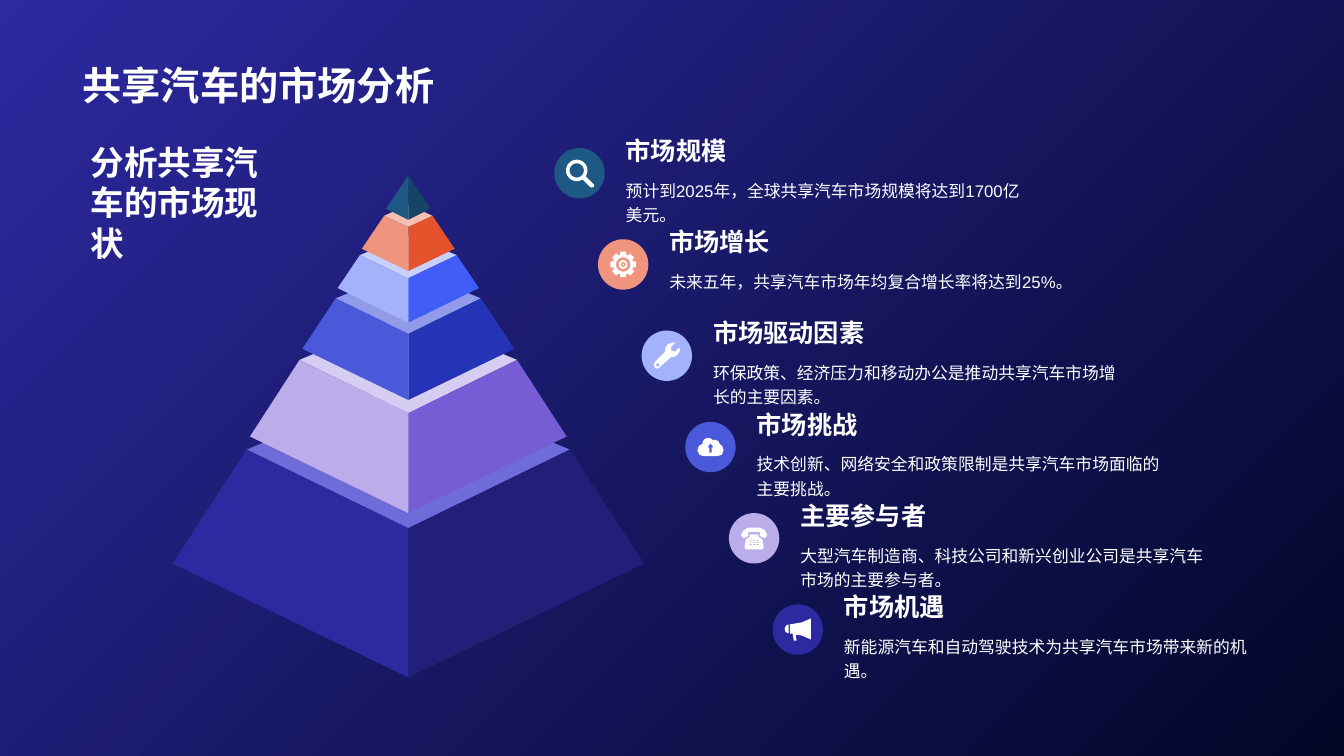
from math import cos, radians, sin

from pptx import Presentation
from pptx.dml.color import RGBColor
from pptx.enum.shapes import MSO_SHAPE as Preset
from pptx.enum.text import MSO_ANCHOR as Anchor, MSO_AUTO_SIZE as AutoSize, PP_ALIGN as Align
from pptx.util import Cm, Pt

FONT = "Arial"
WHITE = RGBColor(0xFF, 0xFF, 0xFF)
INDIGO = RGBColor(0x2D, 0x29, 0xA1)
INDIGO_DARK = RGBColor(0x22, 0x1F, 0x79)
INDIGO_LIGHT = RGBColor(0x6F, 0x6C, 0xD9)
NIGHT = RGBColor(0x02, 0x07, 0x28)
LILAC = RGBColor(0xBA, 0xAD, 0xEA)
LILAC_DARK = RGBColor(0x76, 0x5C, 0xD5)
LILAC_LIGHT = RGBColor(0xD6, 0xCE, 0xF2)
BLUE = RGBColor(0x4A, 0x58, 0xDA)
BLUE_DARK = RGBColor(0x25, 0x33, 0xB6)
BLUE_LIGHT = RGBColor(0x92, 0x9B, 0xE9)
SKY = RGBColor(0xA4, 0xB1, 0xFB)
SKY_DARK = RGBColor(0x41, 0x5C, 0xF7)
SKY_LIGHT = RGBColor(0xC8, 0xD0, 0xFD)
CORAL = RGBColor(0xEF, 0x95, 0x7D)
CORAL_DARK = RGBColor(0xE5, 0x53, 0x2C)
CORAL_LIGHT = RGBColor(0xF5, 0xBF, 0xB1)
TEAL = RGBColor(0x1E, 0x59, 0x86)
TEAL_DARK = RGBColor(0x17, 0x43, 0x65)

# Pyramid levels, bottom first, in cm: half widths of cap and base, then the heights
# of back corner, shoulder, front corner, base and bottom; then left, right, cap colours
AXIS = 10.29
LEVELS = [
    (4.07, 5.94, 9.63, 11.33, 13.31, 14.2, 17.07, INDIGO, INDIGO_DARK, INDIGO_LIGHT),
    (2.74, 3.99, 7.92, 9.07, 10.41, 11.0, 12.93, LILAC, LILAC_DARK, LILAC_LIGHT),
    (1.83, 2.67, 6.76, 7.52, 8.41, 8.79, 10.08, BLUE, BLUE_DARK, BLUE_LIGHT),
    (1.22, 1.78, 5.92, 6.43, 7.01, 7.26, 8.13, SKY, SKY_DARK, SKY_LIGHT),
    (0.61, 1.17, 5.16, 5.44, 5.72, 6.27, 6.83, CORAL, CORAL_DARK, CORAL_LIGHT),
    (0, 0.56, 4.42, 4.42, 4.42, 5.26, 5.54, TEAL, TEAL_DARK, None),
]

# Staircase of topics
STEP_X, STEP_Y = 1.1, 2.3
BADGE = 1.27


def circle(x, y, radius):
    return [(x + radius * cos(radians(a)), y + radius * sin(radians(a))) for a in range(0, 360, 10)]


def mirrored(half):
    return half + [(-x, y) for x, y in reversed(half)]


def gear_rim():
    teeth = ((-13, 0.33), (13, 0.33), (17, 0.26), (28, 0.26))
    return [(r * cos(radians(45 * tooth + a)), r * sin(radians(45 * tooth + a)))
            for tooth in range(8) for a, r in teeth]


def phone_keys():
    return [[(x - 0.03, y - 0.01), (x + 0.03, y - 0.01), (x + 0.03, y + 0.01), (x - 0.03, y + 0.01)]
            for y in (0.06, 0.11, 0.16) for x in (-0.09, 0, 0.09)]


# Icon contours in cm around the badge centre; inner contours cut holes
SEARCH = [circle(-0.07, -0.07, 0.27), circle(-0.07, -0.07, 0.18),
          [(0.08, 0.16), (0.16, 0.08), (0.36, 0.28), (0.37, 0.33), (0.33, 0.36), (0.28, 0.36)]]
GEAR = [gear_rim()] + [circle(0, 0, r) for r in (0.18, 0.11, 0.06, 0.02)]
WRENCH = [[(0.32, -0.2), (0.29, -0.2), (0.22, -0.1), (0.11, -0.13), (0.11, -0.23), (0.22, -0.33),
           (0.12, -0.33), (0.02, -0.28), (-0.04, -0.2), (-0.04, -0.1), (-0.29, 0.15),
           (-0.33, 0.22), (-0.3, 0.3), (-0.23, 0.33), (-0.17, 0.28), (0.11, 0.03), (0.2, 0.02),
           (0.27, -0.03), (0.33, -0.12)],
          circle(-0.23, 0.23, 0.04)]
CLOUD = [[(0.23, -0.08), (0.2, -0.15), (0.12, -0.18), (0.05, -0.18), (0, -0.22), (-0.06, -0.23),
          (-0.15, -0.2), (-0.2, -0.13), (-0.2, -0.08), (-0.29, -0.03), (-0.33, 0.08),
          (-0.28, 0.19), (-0.18, 0.23), (0.18, 0.23), (0.29, 0.19), (0.33, 0.08), (0.3, -0.02)],
         mirrored([(0, -0.09), (0.08, 0.01), (0.03, 0.01), (0.03, 0.14)])]
PHONE = [mirrored([(0.11, -0.1), (0.11, -0.04), (0.21, 0.03), (0.24, 0.22), (0.21, 0.28)]),
         mirrored([(0.15, -0.27), (0.27, -0.2), (0.33, -0.08), (0.27, 0), (0.14, -0.06),
                   (0.16, -0.14), (0.1, -0.16)])] + phone_keys()
MEGAPHONE = [[(-0.23, -0.13), (-0.23, 0.1), (-0.31, 0.06), (-0.33, -0.02), (-0.3, -0.1)],
             [(0.33, -0.28), (0.33, 0.25), (0.1, 0.15), (-0.05, 0.13), (-0.03, 0.28),
              (-0.1, 0.28), (-0.13, 0.1), (-0.2, 0.1), (-0.2, -0.13), (0.1, -0.18)]]

TOPICS = [
    ("市场规模", "预计到2025年，全球共享汽车市场规模将达到1700亿美元。", TEAL, SEARCH),
    ("市场增长", "未来五年，共享汽车市场年均复合增长率将达到25%。", CORAL, GEAR),
    ("市场驱动因素", "环保政策、经济压力和移动办公是推动共享汽车市场增长的主要因素。", SKY, WRENCH),
    ("市场挑战", "技术创新、网络安全和政策限制是共享汽车市场面临的主要挑战。", BLUE, CLOUD),
    ("主要参与者", "大型汽车制造商、科技公司和新兴创业公司是共享汽车市场的主要参与者。", LILAC, PHONE),
    ("市场机遇", "新能源汽车和自动驾驶技术为共享汽车市场带来新的机遇。", INDIGO, MEGAPHONE),
]


def paint(shape, color):
    shape.shadow.inherit = False
    shape.fill.solid()
    shape.fill.fore_color.rgb = color
    shape.line.fill.background()


def add_outline(page, contours, color, left=0, top=0):
    """Draw closed contours, given in cm from the point (left, top)."""
    contours = [[(x * 1000, y * 1000) for x, y in contour] for contour in contours]
    builder = page.shapes.build_freeform(*contours[0][0], scale=Cm(0.001))
    for number, contour in enumerate(contours):
        if number:
            builder.move_to(*contour[0])
        builder.add_line_segments(contour[1:], close=True)
    paint(builder.convert_to_shape(Cm(left), Cm(top)), color)


def write(box, text, size, bold=False, anchor=Anchor.TOP, spacing=None):
    frame = box.text_frame
    frame.text = text
    frame.word_wrap = True
    frame.auto_size = AutoSize.NONE
    frame.vertical_anchor = anchor
    para = frame.paragraphs[0]
    para.alignment = Align.LEFT
    if spacing:
        para.line_spacing = spacing
    span = para.runs[0]
    span.font.name = FONT
    span.font.size = Pt(size)
    span.font.bold = bold
    span.font.color.rgb = WHITE


def add_text(page, left, top, width, height, text, size, **style):
    box = page.shapes.add_textbox(Cm(left), Cm(top), Cm(width), Cm(height))
    write(box, text, size, **style)


def set_background(page):
    fill = page.background.fill
    fill.gradient()
    fill.gradient_angle = 315
    for stop, color, position in zip(fill.gradient_stops, (INDIGO, NIGHT), (0, 1)):
        stop.color.rgb = color
        stop.position = position


def set_title(page, text):
    title = page.shapes.title
    title.left, title.top, title.width, title.height = Cm(1.83), Cm(0.36), Cm(30.18), Cm(2.49)
    write(title, text, 28, bold=True, anchor=Anchor.BOTTOM)


def add_level(page, cap, base, back, shoulder, front, foot, bottom, left, right, top):
    if top:
        add_outline(page, [[(AXIS - cap, shoulder), (AXIS, back),
                            (AXIS + cap, shoulder), (AXIS, front)]], top)
    for side, color in ((1, right), (-1, left)):
        add_outline(page, [[(AXIS, bottom), (AXIS + side * base, foot),
                            (AXIS + side * cap, shoulder), (AXIS, front)]], color)


def add_topic(page, number, heading, detail, color, icon):
    left, top = 13.97 + number * STEP_X, 3.73 + number * STEP_Y
    badge = page.shapes.add_shape(Preset.OVAL, Cm(left), Cm(top), Cm(BADGE), Cm(BADGE))
    paint(badge, color)
    add_outline(page, icon, WHITE, left + BADGE / 2, top + BADGE / 2)
    add_text(page, left + 1.55, top + 0.59, 10.69, 1.24, detail, 12, spacing=1.2)
    add_text(page, left + 1.55, top - 0.38, 10.69, 0.94, heading, 18, bold=True,
             anchor=Anchor.BOTTOM)


def main():
    deck = Presentation()
    deck.slide_width, deck.slide_height = Cm(33.87), Cm(19.05)
    page = deck.slides.add_slide(deck.slide_layouts.get_by_name("Title Only"))
    set_background(page)
    set_title(page, "共享汽车的市场分析")

    # Pyramid
    for level in LEVELS:
        add_level(page, *level)

    # Topics beside the pyramid
    for number, topic in enumerate(TOPICS):
        add_topic(page, number, *topic)

    # Statement at the upper left
    add_text(page, 2.03, 3.45, 5.49, 5.16, "分析共享汽车的市场现状", 24, bold=True)
    deck.save("out.pptx")


if __name__ == "__main__":
    main()
